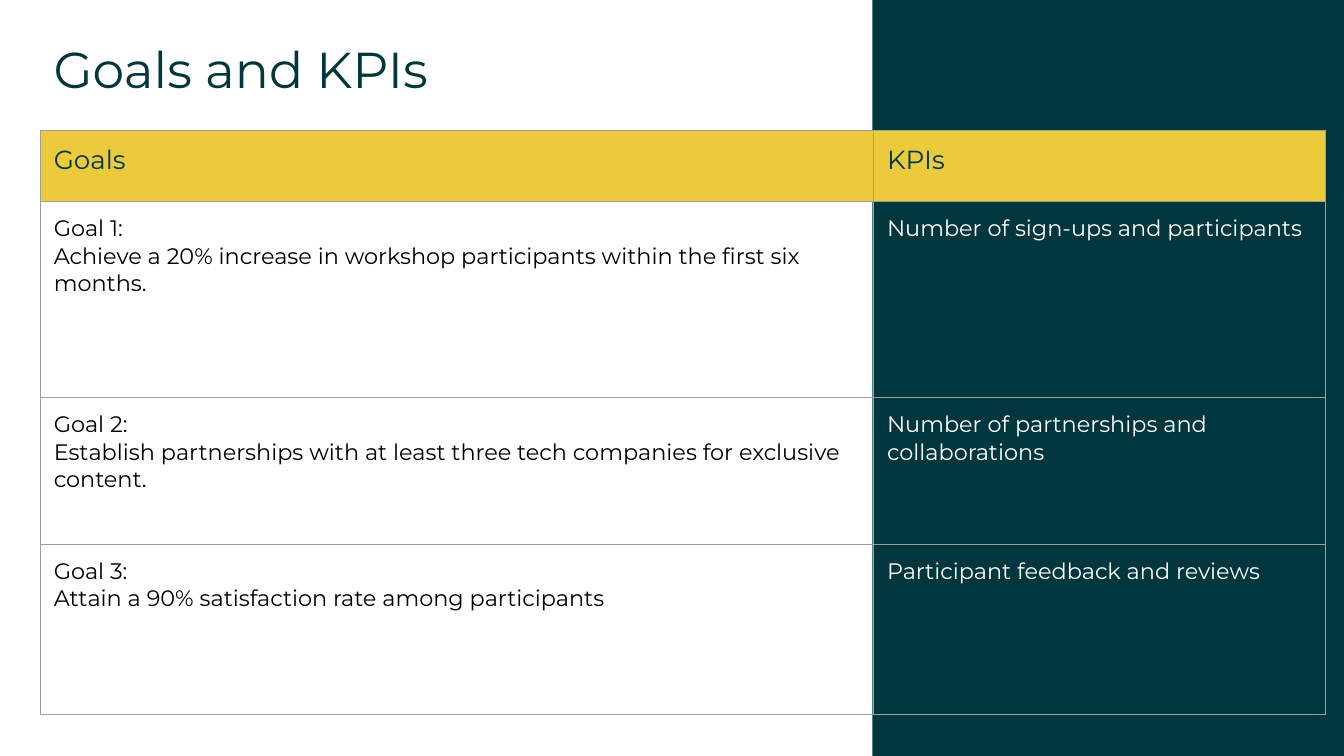
"""Build a slide with a two-column table of goals and KPIs."""
from lxml import etree
from pptx import Presentation
from pptx.dml.color import RGBColor
from pptx.enum.shapes import MSO_SHAPE
from pptx.oxml.ns import qn
from pptx.util import Inches, Pt

RECTANGLE = MSO_SHAPE.RECTANGLE
FONT = "Montserrat"
MARGIN = Inches(0.1)
COLORS = {
    "teal": "00363D",
    "yellow": "EBCB3C",
    "black": "000000",
    "white": "FFFFFF",
    "border": "9E9E9E",
}
COLUMN_WIDTHS = [6.2, 3.36]
ROW_HEIGHTS = [0.53, 1.46, 1.09, 1.27]
ROWS = [
    ("Goals", "KPIs"),
    ("Goal 1: \vAchieve a 20% increase in workshop participants within the first six months.",
     "Number of sign-ups and participants"),
    ("Goal 2:\vEstablish partnerships with at least three tech companies for exclusive content.",
     "Number of partnerships and collaborations"),
    ("Goal 3:\vAttain a 90% satisfaction rate among participants",
     "Participant feedback and reviews"),
]


def write_text(frame, text, size, color):
    frame.text = text
    for paragraph in frame.paragraphs:
        for span in paragraph.runs:
            span.font.name = FONT
            span.font.size = Pt(size)
            span.font.color.rgb = RGBColor.from_string(COLORS[color])
        for line_break in paragraph._p.findall(qn("a:br")):
            style = etree.SubElement(line_break, qn("a:rPr"), sz=str(size * 100))
            etree.SubElement(style, qn("a:latin"), typeface=FONT)


def add_borders(cell):
    properties = cell._tc.get_or_add_tcPr()
    for index, side in enumerate(("lnL", "lnR", "lnT", "lnB")):
        line = etree.Element(qn(f"a:{side}"), w=str(Pt(0.75)))
        fill = etree.SubElement(line, qn("a:solidFill"))
        etree.SubElement(fill, qn("a:srgbClr"), val=COLORS["border"])
        properties.insert(index, line)


deck = Presentation()
deck.slide_width = Inches(10)
deck.slide_height = deck.slide_width * 9 // 16
page = deck.slides.add_slide(deck.slide_layouts[6])

panel = page.shapes.add_shape(RECTANGLE, Inches(6.49), 0, Inches(3.51), deck.slide_height)
panel.shadow.inherit = False
panel.fill.solid()
panel.fill.fore_color.rgb = RGBColor.from_string(COLORS["teal"])
panel.line.fill.background()

title = page.shapes.add_textbox(Inches(0.3), Inches(0.18), Inches(3.61), Inches(0.58))
title_frame = title.text_frame
title_frame.word_wrap = True
title_frame.margin_left = title_frame.margin_right = MARGIN
title_frame.margin_top = title_frame.margin_bottom = MARGIN
write_text(title_frame, "Goals and KPIs", 27, "teal")

table = page.shapes.add_table(
    len(ROWS), len(COLUMN_WIDTHS), Inches(0.3), Inches(0.97),
    Inches(sum(COLUMN_WIDTHS)), Inches(sum(ROW_HEIGHTS)),
).table
table.horz_banding = False
for column, width in zip(table.columns, COLUMN_WIDTHS):
    column.width = Inches(width)

for row_index, (texts, height) in enumerate(zip(ROWS, ROW_HEIGHTS)):
    table.rows[row_index].height = Inches(height)
    for column_index, text in enumerate(texts):
        cell = table.cell(row_index, column_index)
        cell.margin_left = cell.margin_right = MARGIN
        cell.margin_top = cell.margin_bottom = MARGIN
        if row_index == 0:
            cell.fill.solid()
            cell.fill.fore_color.rgb = RGBColor.from_string(COLORS["yellow"])
            write_text(cell.text_frame, text, 14, "teal")
        else:
            cell.fill.background()
            write_text(cell.text_frame, text, 12, ("black", "white")[column_index])
        add_borders(cell)

deck.save("out.pptx")
